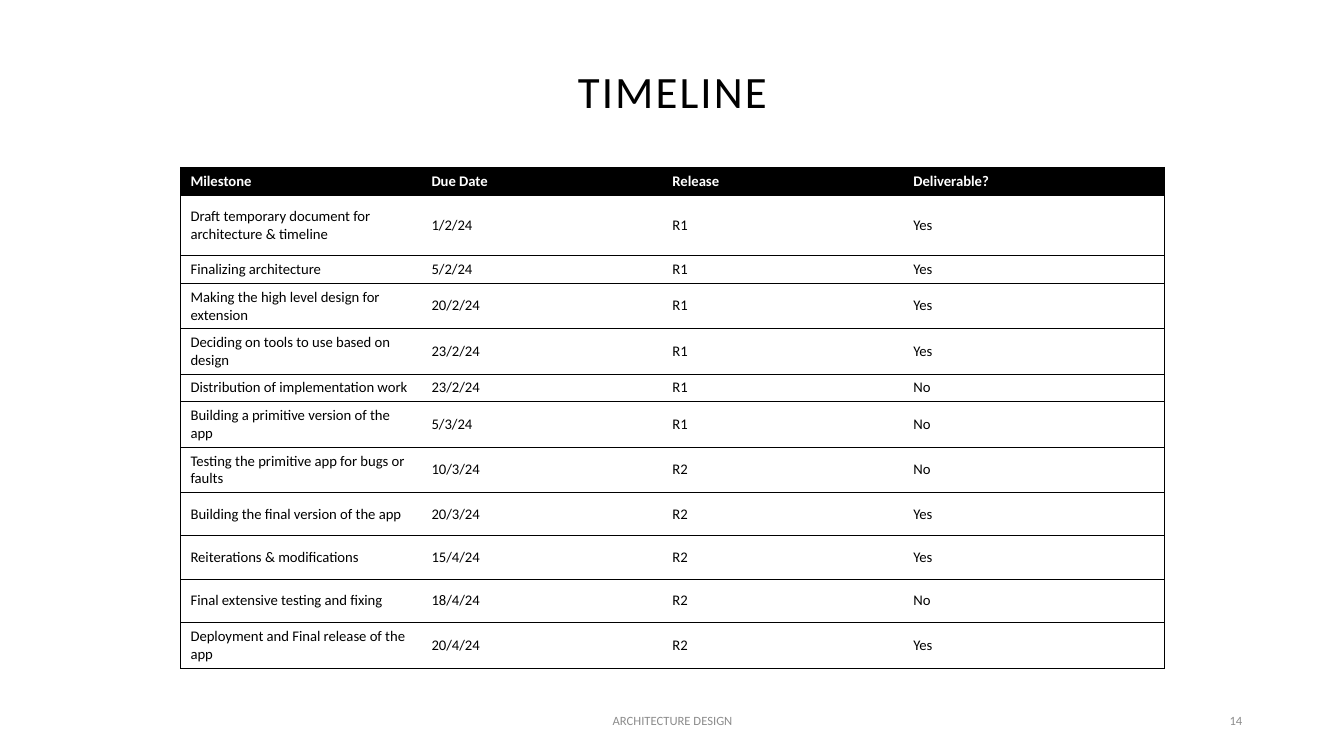
"""Build the project timeline slide."""
from dataclasses import dataclass

import pptx
import pptx.dml.color
import pptx.enum.text
import pptx.oxml
import pptx.oxml.ns
import pptx.util
from pptx.util import Inches

ALIGN = pptx.enum.text.PP_ALIGN
MIDDLE = pptx.enum.text.MSO_ANCHOR.MIDDLE

HEADINGS = ("Milestone", "Due Date", "Release", "Deliverable?")
MILESTONES = [
    ("Draft temporary document for architecture & timeline", "1/2/24", "R1", "Yes"),
    ("Finalizing architecture", "5/2/24", "R1", "Yes"),
    ("Making the high level design for extension", "20/2/24", "R1", "Yes"),
    ("Deciding on tools to use based on design", "23/2/24", "R1", "Yes"),
    ("Distribution of implementation work", "23/2/24", "R1", "No"),
    ("Building a primitive version of the app", "5/3/24", "R1", "No"),
    ("Testing the primitive app for bugs or faults", "10/3/24", "R2", "No"),
    ("Building the final version of the app", "20/3/24", "R2", "Yes"),
    ("Reiterations & modifications", "15/4/24", "R2", "Yes"),
    ("Final extensive testing and fixing", "18/4/24", "R2", "No"),
    ("Deployment and Final release of the app", "20/4/24", "R2", "Yes"),
]
COLUMN_WIDTHS = (2.39, 2.39, 2.39, 2.59)
ROW_HEIGHTS = (0.25, 0.6, 0.27, 0.43, 0.43, 0.27) + (0.43,) * 6


@dataclass(frozen=True)
class Theme:
    """Colours, font and type sizes of the slide."""
    font: str = "Calibri"
    ink: str = "000000"
    paper: str = "FFFFFF"
    muted: str = "8C8C8C"
    title_size: float = 32
    table_size: float = 10.5
    footer_size: float = 9
    rule_width: float = 0.5


class SlideBuilder:
    """Draws styled elements on one slide."""

    def __init__(self, slide, theme):
        self.slide = slide
        self.theme = theme

    def style(self, paragraph, size, color, bold=False, spacing=None):
        """Format every run of a paragraph."""
        for run in paragraph.runs:
            run.font.name = self.theme.font
            run.font.size = pptx.util.Pt(size)
            run.font.bold = bold
            run.font.color.rgb = pptx.dml.color.RGBColor.from_string(color)
            if spacing:
                run._r.get_or_add_rPr().set("spc", str(round(spacing * 100)))

    def text(self, words, box, size, color, align, spacing=None, line_spacing=None):
        """Add a text box with one paragraph."""
        frame = self.slide.shapes.add_textbox(*map(Inches, box)).text_frame
        frame.word_wrap = True
        frame.vertical_anchor = MIDDLE
        frame.text = words
        paragraph = frame.paragraphs[0]
        paragraph.alignment = align
        paragraph.line_spacing = line_spacing
        self.style(paragraph, size, color, spacing=spacing)

    def borders(self, cell, visible_sides):
        """Rule the visible sides of a cell and clear the others."""
        properties = cell._tc.get_or_add_tcPr()
        width = pptx.util.Pt(self.theme.rule_width)
        for position, side in enumerate("LRTB"):
            paint = "<a:noFill/>"
            if side in visible_sides:
                paint = f'<a:solidFill><a:srgbClr val="{self.theme.ink}"/></a:solidFill>'
            line = pptx.oxml.parse_xml(
                f'<a:ln{side} {pptx.oxml.ns.nsdecls("a")} w="{width}">{paint}</a:ln{side}>')
            properties.insert(position, line)

    def table(self, rows, left, top, widths, heights):
        """Add a table with a dark header and horizontal rules."""
        box = map(Inches, (left, top, sum(widths), sum(heights)))
        table = self.slide.shapes.add_table(len(rows), len(widths), *box).table
        table.horz_banding = False
        for column, width in zip(table.columns, widths):
            column.width = Inches(width)
        for row, height in zip(table.rows, heights):
            row.height = Inches(height)
        last = len(widths) - 1
        for r, values in enumerate(rows):
            header = r == 0
            fill, color = self.theme.paper, self.theme.ink
            if header:
                fill, color = color, fill
            for c, value in enumerate(values):
                cell = table.cell(r, c)
                cell.text_frame.text = value
                cell.vertical_anchor = MIDDLE
                cell.fill.solid()
                cell.fill.fore_color.rgb = pptx.dml.color.RGBColor.from_string(fill)
                self.style(cell.text_frame.paragraphs[0], self.theme.table_size, color, header)
                self.borders(cell, "TB" + "L" * (c == 0) + "R" * (c == last))


def main():
    """Create and save the timeline slide."""
    deck = pptx.Presentation()
    deck.slide_width, deck.slide_height = Inches(13.33), Inches(7.5)
    theme = Theme()
    timeline = SlideBuilder(deck.slides.add_slide(deck.slide_layouts[6]), theme)
    timeline.text("TIMELINE", (0.92, 0.21, 11.5, 1.45), theme.title_size, theme.ink,
                  ALIGN.CENTER, spacing=1.5, line_spacing=0.9)
    timeline.text("ARCHITECTURE DESIGN", (4.42, 6.95, 4.5, 0.4), theme.footer_size,
                  theme.muted, ALIGN.CENTER)
    timeline.text("14", (9.42, 6.95, 3, 0.4), theme.footer_size, theme.muted, ALIGN.RIGHT)
    timeline.table([HEADINGS, *MILESTONES], 1.79, 1.66, COLUMN_WIDTHS, ROW_HEIGHTS)
    deck.save("out.pptx")


if __name__ == "__main__":
    main()
